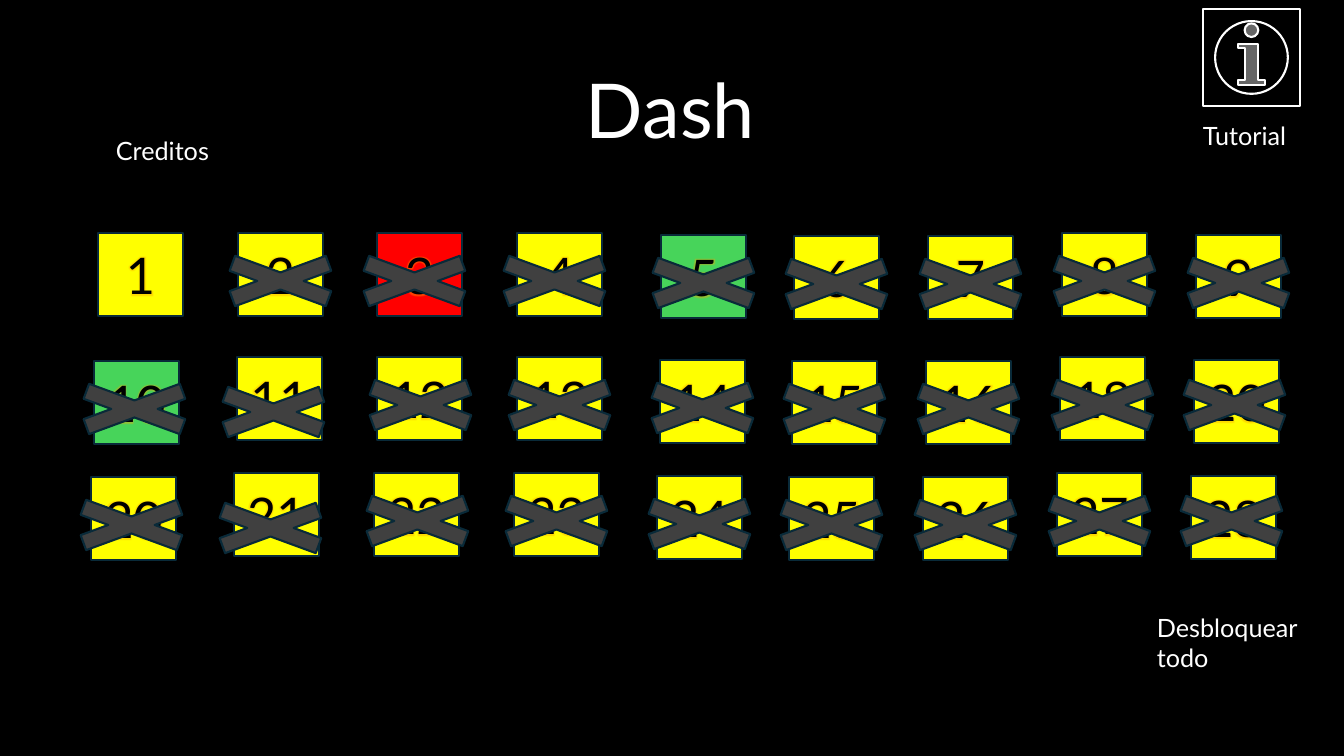
from lxml.etree import SubElement
from pptx import Presentation
from pptx.dml.color import RGBColor
from pptx.enum.shapes import MSO_SHAPE
from pptx.enum.text import MSO_ANCHOR, MSO_AUTO_SIZE, PP_ALIGN
from pptx.oxml.ns import qn
from pptx.util import Emu, Pt

BLACK, WHITE = "000000", "FFFFFF"
YELLOW, RED, GREEN = "FFFF00", "FF0000", "47D45A"
GREY, NAVY, ORANGE = "404040", "092A39", "FFA500"


def px(*lengths):
    return [Emu(round(length * 914400 / 100.8)) for length in lengths]


def colour(value):
    return RGBColor.from_string(value)


class LevelMenu:
    """Holds the menu style and the page on which its elements are drawn."""

    def __init__(self, deck, font_name):
        self.page = deck.slides.add_slide(deck.slide_layouts[0])
        self.font_name = font_name

    def style(self, para, size, text_colour):
        for span in para.runs:
            span.font.name = self.font_name
            span.font.size = Pt(size)
            span.font.color.rgb = colour(text_colour)

    def shape(self, kind, place, fill, line):
        shape = self.page.shapes.add_shape(kind, *px(*place))
        shape.shadow.inherit = False
        shape.fill.solid()
        shape.fill.fore_color.rgb = colour(fill)
        shape.line.color.rgb = colour(line)
        shape.line.width = Pt(1.5)
        return shape

    def title(self, text, place):
        box = self.page.shapes.title
        box.left, box.top, box.width, box.height = px(*place)
        frame = box.text_frame
        frame.text = text
        frame.vertical_anchor = MSO_ANCHOR.BOTTOM
        para = frame.paragraphs[0]
        para.alignment = PP_ALIGN.CENTER
        para.line_spacing = 0.9
        self.style(para, 54, WHITE)
        shapes = self.page.shapes
        shapes._spTree.remove(box._element)
        shapes._spTree.append(box._element)
        subtitle = self.page.placeholders[1]._element
        subtitle.getparent().remove(subtitle)

    def label(self, text, place):
        frame = self.page.shapes.add_textbox(*px(*place)).text_frame
        frame.text = text
        frame.word_wrap = True
        frame.auto_size = MSO_AUTO_SIZE.SHAPE_TO_FIT_TEXT
        self.style(frame.paragraphs[0], 18, WHITE)

    def glow(self, span):
        effects = SubElement(span._r.get_or_add_rPr(), qn("a:effectLst"))
        halo = SubElement(effects, qn("a:glow"), rad="38100")
        tint = SubElement(halo, qn("a:srgbClr"), val=ORANGE)
        SubElement(tint, qn("a:alpha"), val="40000")
        span._r.rPr.insert(1, effects)

    def level(self, number, left, top, fill):
        box = self.shape(MSO_SHAPE.RECTANGLE, (left, top, 85, 83), fill, NAVY)
        frame = box.text_frame
        frame.text = str(number)
        frame.vertical_anchor = MSO_ANCHOR.MIDDLE
        para = frame.paragraphs[0]
        para.alignment = PP_ALIGN.CENTER
        self.style(para, 36, BLACK)
        self.glow(para.runs[0])

    def lock(self, left, top):
        self.shape(MSO_SHAPE.MATH_MULTIPLY, (left, top, 185, 68), GREY, NAVY)


def main():
    deck = Presentation()
    deck.slide_width, deck.slide_height = px(1344, 756)
    menu = LevelMenu(deck, "Lato")

    menu.shape(MSO_SHAPE.RECTANGLE, (-136, -95, 1480, 851), BLACK, BLACK)
    menu.title("Dash", (563, 59, 215, 101))
    menu.shape(MSO_SHAPE.ACTION_BUTTON_INFORMATION, (1203, 9, 97, 97), BLACK, WHITE)
    menu.label("Tutorial", (1193, 115, 123, 40))

    first_lefts = [98, 238, 377, 517, 661, 794, 928, 1062, 1196]
    first_tops = [233, 233, 233, 233, 235, 236, 236, 233, 235]
    first_locks = [None, (-50, 14), (-55, 14), (-55, 14)] + [(-50, 14)] * 5
    lefts = [94, 237, 377, 517, 660, 792, 926, 1060, 1194]
    tops = [361, 357, 357, 357, 360, 361, 361, 357, 360]
    locks = [(-52, 14), (-56, 21), (-49, 14)] + [(-50, 14)] * 5 + [(-52, 11)]
    rows = [
        (range(1, 10), first_lefts, first_tops, first_locks),
        ([10, 11, 12, 13, 14, 15, 16, 18, 20], lefts, tops, locks),
        (range(20, 29), [left - 3 for left in lefts], [top + 116 for top in tops], locks),
    ]
    fills = {3: RED, 5: GREEN, 10: GREEN}
    for row in rows:
        for number, left, top, offset in zip(*row):
            menu.level(number, left, top, fills.get(number, YELLOW))
            if offset:
                menu.lock(left + offset[0], top + offset[1])

    menu.label("Creditos", (106, 130, 123, 40))
    menu.label("Desbloquear todo", (1147, 607, 175, 72))
    deck.save("out.pptx")


if __name__ == "__main__":
    main()
